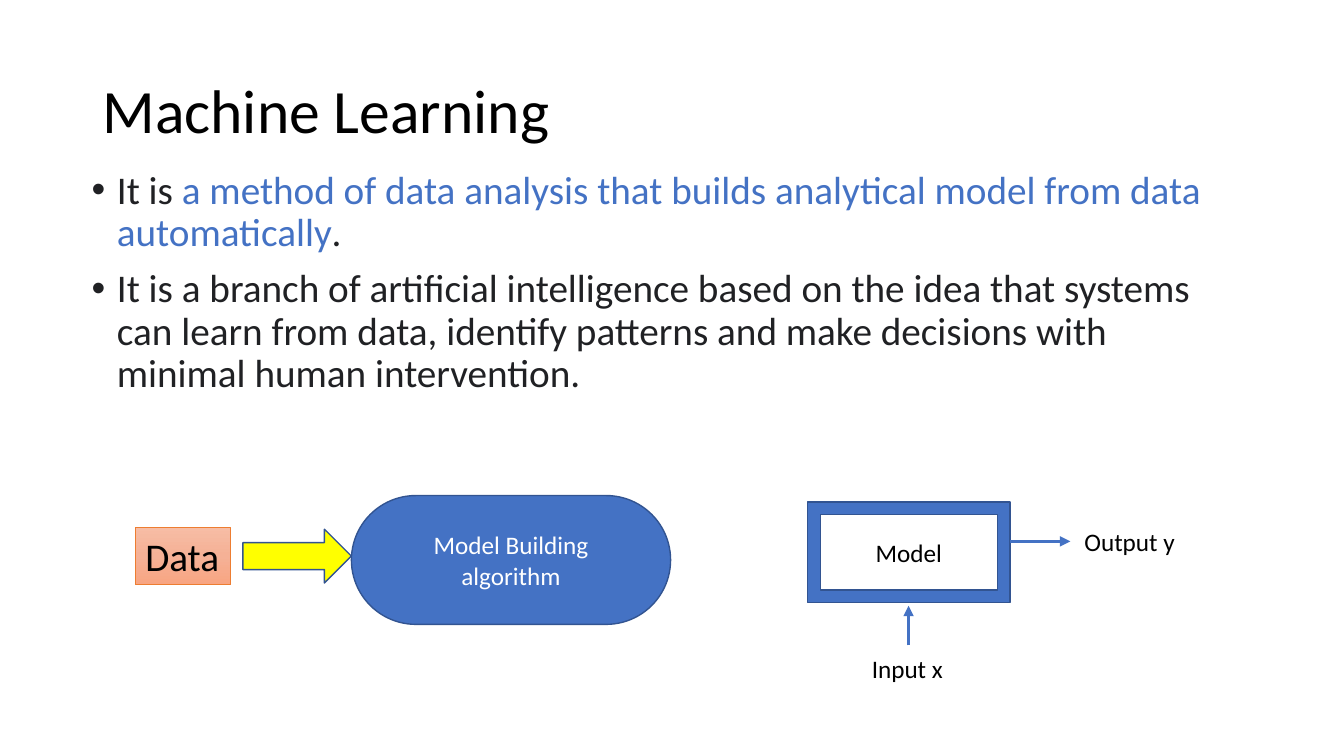
"""Build the Machine Learning slide with its two process diagrams."""
from copy import deepcopy

from lxml.etree import SubElement
from pptx import Presentation
from pptx.dml.color import RGBColor
from pptx.enum.shapes import MSO_CONNECTOR, MSO_SHAPE
from pptx.enum.text import MSO_ANCHOR, MSO_AUTO_SIZE, PP_ALIGN
from pptx.oxml.ns import qn
from pptx.util import Pt

BLACK = RGBColor(0x00, 0x00, 0x00)
WHITE = RGBColor(0xFF, 0xFF, 0xFF)
INK = RGBColor(0x20, 0x21, 0x24)
BLUE = RGBColor(0x44, 0x72, 0xC4)
NAVY = RGBColor(0x32, 0x54, 0x91)
YELLOW = RGBColor(0xFF, 0xFF, 0x00)
ORANGE = RGBColor(0xED, 0x7D, 0x31)
PEACH = [RGBColor(0xF7, 0xBD, 0xA5), RGBColor(0xF5, 0xB1, 0x96), RGBColor(0xF8, 0xA5, 0x82)]


def style(r, size, color):
    r.font.name = "Calibri"
    r.font.size = Pt(size)
    r.font.color.rgb = color


def add_block(kind, left, top, width, height, fill, text="", color=BLACK):
    sp = s.shapes.add_shape(kind, Pt(left), Pt(top), Pt(width), Pt(height))
    sp.shadow.inherit = False
    sp.fill.solid()
    sp.fill.fore_color.rgb = fill
    sp.line.color.rgb = NAVY
    sp.line.width = Pt(1)
    tf = sp.text_frame
    tf.vertical_anchor = MSO_ANCHOR.MIDDLE
    p = tf.paragraphs[0]
    p.text = text
    p.alignment = PP_ALIGN.CENTER
    for r in p.runs:
        style(r, 18, color)
    return sp


prs = Presentation()
prs.slide_width, prs.slide_height = Pt(960), Pt(540)
s = prs.slides.add_slide(prs.slide_layouts[1])

title, body = s.placeholders
title.left, title.top, title.width, title.height = Pt(66), Pt(28.8), Pt(828), Pt(104.4)
tf = title.text_frame
tf.text = "Machine Learning"
tf.auto_size = MSO_AUTO_SIZE.NONE
tf.vertical_anchor = MSO_ANCHOR.MIDDLE
p = tf.paragraphs[0]
p.alignment = PP_ALIGN.LEFT
p.line_spacing = 0.9
style(p.runs[0], 44, BLACK)

body.left, body.top, body.width, body.height = Pt(58.3), Pt(118), Pt(828), Pt(342.7)
tf = body.text_frame
tf.auto_size = MSO_AUTO_SIZE.NONE
points = [
    [("It is ", INK),
     ("a method of data analysis that builds analytical model from data automatically", BLUE),
     (".", INK)],
    [("It is a branch of artificial intelligence based on the idea that systems can learn "
      "from data, identify patterns and make decisions with minimal human intervention.", INK)],
]
for i, point in enumerate(points):
    p = tf.add_paragraph() if i else tf.paragraphs[0]
    p.line_spacing = 0.9
    p.space_before = Pt(10 if i else 0)
    pPr = p._p.get_or_add_pPr()
    pPr.set("marL", str(Pt(18)))
    pPr.set("indent", str(-Pt(18)))
    for text, color in point:
        r = p.add_run()
        r.text = text
        style(r, 28, color)

builder = add_block(MSO_SHAPE.ROUNDED_RECTANGLE, 251, 354, 228, 92, BLUE,
                    "Model Building algorithm", WHITE)
builder.adjustments[0] = 0.5
builder.text_frame.margin_left = builder.text_frame.margin_right = Pt(10)
add_block(MSO_SHAPE.RIGHT_ARROW, 173.5, 378, 77.5, 38.5, YELLOW)

data = add_block(MSO_SHAPE.RECTANGLE, 96.7, 376.5, 68, 41.2, PEACH[0], "Data")
data.text_frame.word_wrap = False
data.text_frame.vertical_anchor = MSO_ANCHOR.TOP
data.text_frame.paragraphs[0].alignment = PP_ALIGN.LEFT
style(data.text_frame.paragraphs[0].runs[0], 28, BLACK)
data.line.color.rgb = ORANGE
data.line.width = Pt(0.5)
data.fill.gradient()
data.fill.gradient_angle = 270
gsLst = data._element.spPr.find(qn("a:gradFill")).find(qn("a:gsLst"))
gsLst.append(deepcopy(gsLst[0]))
for i, stop in enumerate(data.fill.gradient_stops):
    stop.position = i / 2
    stop.color.rgb = PEACH[i]

add_block(MSO_SHAPE.FRAME, 577, 358.5, 144.5, 72, BLUE, "Model")

for x1, y1, x2, y2 in [(649, 461, 649, 432.7), (721.5, 386.7, 764.6, 386.7)]:
    arrow = s.shapes.add_connector(MSO_CONNECTOR.STRAIGHT, Pt(x1), Pt(y1), Pt(x2), Pt(y2))
    arrow.line.color.rgb = BLUE
    arrow.line.width = Pt(2.5)
    SubElement(arrow.line._get_or_add_ln(), qn("a:tailEnd"), type="triangle")
    SubElement(arrow._element.spPr, qn("a:effectLst"))

for text, left, top, width in [("Input x", 615.6, 463, 66.2), ("Output y", 767.5, 372.2, 80)]:
    tf = s.shapes.add_textbox(Pt(left), Pt(top), Pt(width), Pt(29)).text_frame
    tf.text = text
    tf.word_wrap = False
    tf.auto_size = MSO_AUTO_SIZE.SHAPE_TO_FIT_TEXT
    style(tf.paragraphs[0].runs[0], 18, BLACK)

prs.save("out.pptx")
